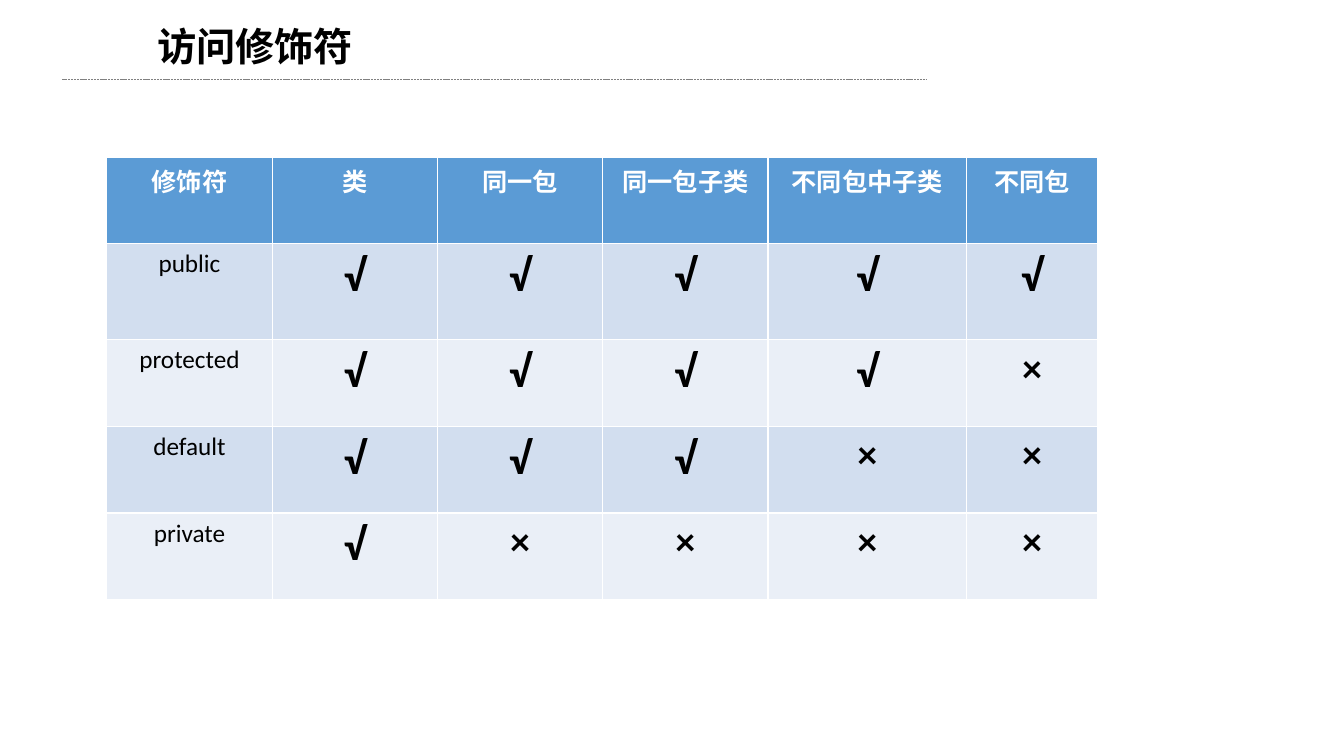
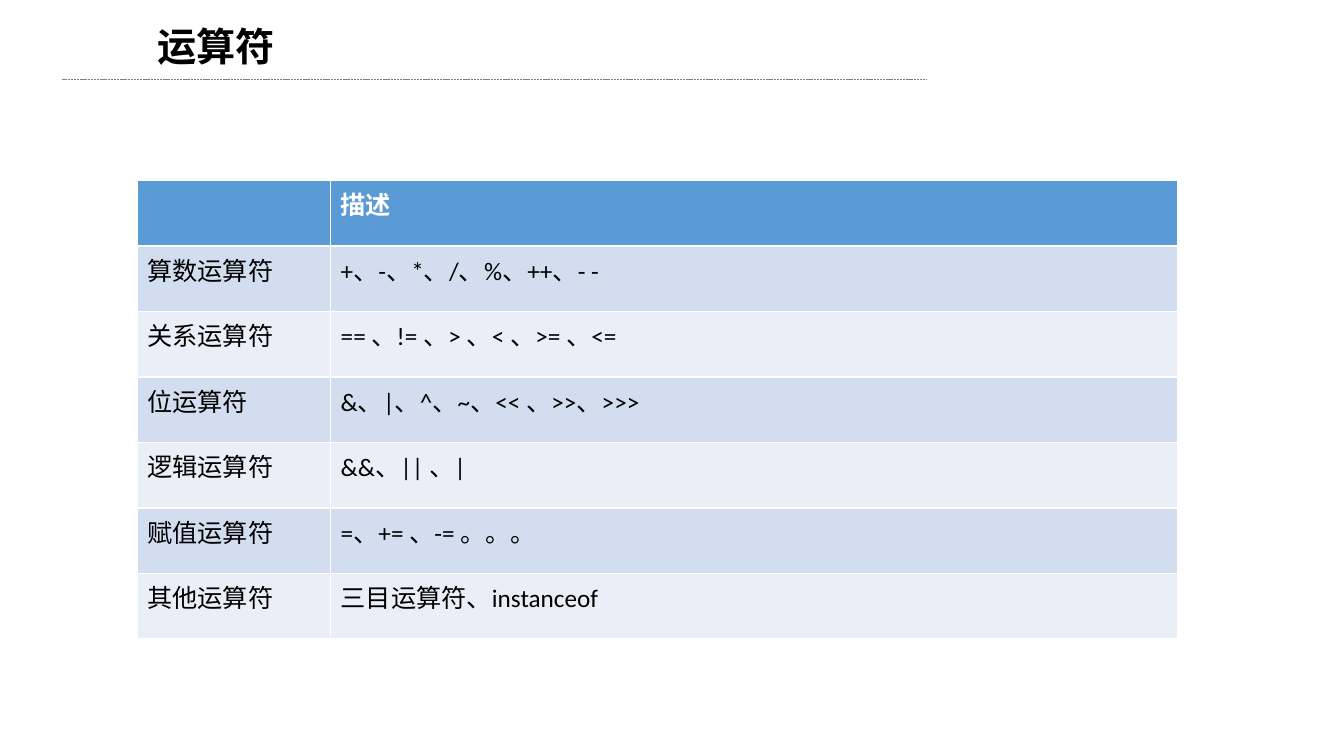
from lxml.etree import SubElement
from pptx import Presentation
from pptx.dml.color import RGBColor
from pptx.enum.dml import MSO_LINE
from pptx.enum.shapes import MSO_CONNECTOR as Link
from pptx.enum.text import MSO_ANCHOR as Anchor, PP_ALIGN as Align
from pptx.oxml.ns import qn
from pptx.util import Inches, Pt

BLACK = RGBColor(0x00, 0x00, 0x00)
WHITE = RGBColor(0xFF, 0xFF, 0xFF)
GRAY = RGBColor(0x80, 0x80, 0x80)
BLUE = RGBColor(0x5B, 0x9B, 0xD5)
BANDS = RGBColor(0xD2, 0xDE, 0xEF), RGBColor(0xEA, 0xEF, 0xF7)
FONT = "Calibri"
MARKS = {"√": 32, "×": 28}
COLS, ROWS = 160, 90


class Deck:
    """Holds the shared style and the current slide; lengths are grid units."""

    def __init__(self):
        """Start an empty wide deck."""
        self.prs = Presentation()
        self.prs.slide_width, self.prs.slide_height = Inches(13.33), Inches(7.5)
        self.page = None

    def x(self, cols):
        """Turn grid columns into a length."""
        return round(self.prs.slide_width * cols / COLS)

    def y(self, rows):
        """Turn grid rows into a length."""
        return round(self.prs.slide_height * rows / ROWS)

    def style(self, para, size, color, bold=False, align=Align.LEFT):
        """Format a paragraph and its runs."""
        para.alignment = align
        for run in para.runs:
            font = run.font
            font.name, font.size, font.bold = FONT, Pt(size), bold
            font.color.rgb = color

    def slide(self, title):
        """Add a slide with its title and the rule below it."""
        self.page = self.prs.slides.add_slide(self.prs.slide_layouts[5])
        self.title(title)
        self.rule(7.44, 110.28, 9.48)

    def title(self, text):
        """Fill the title, as wide as its characters need."""
        box = self.page.shapes.title
        box.left, box.top = self.x(17.52), self.y(2.04)
        box.width, box.height = self.x(4.68 * len(text) + 2.64), self.y(6.84)
        frame = box.text_frame
        frame.text = text
        frame.word_wrap = False
        frame.vertical_anchor = Anchor.TOP
        self.style(frame.paragraphs[0], 28, BLACK, True)

    def rule(self, left, right, top):
        """Draw a thin dashed level line."""
        line = self.page.shapes.add_connector(
            Link.STRAIGHT, self.x(left), self.y(top), self.x(right), self.y(top))
        line.line.color.rgb = GRAY
        line.line.width = Pt(0.5)
        line.line.dash_style = MSO_LINE.SQUARE_DOT
        SubElement(line._element.spPr, qn("a:effectLst"))

    def table(self, left, top, widths, heights, data, align=Align.LEFT):
        """Add a banded table with a blue head row."""
        grid = self.page.shapes.add_table(
            len(heights), len(widths), self.x(left), self.y(top),
            self.x(sum(widths)), self.y(sum(heights))).table
        for col, width in zip(grid.columns, widths):
            col.width = self.x(width)
        for row, height in zip(grid.rows, heights):
            row.height = self.y(height)
        for i, texts in enumerate(data):
            head = i == 0
            for j, text in enumerate(texts):
                cell = grid.cell(i, j)
                cell.fill.solid()
                cell.fill.fore_color.rgb = BLUE if head else BANDS[(i - 1) % 2]
                cell.text_frame.text = text
                self.style(cell.text_frame.paragraphs[0], MARKS.get(text, 18),
                           WHITE if head else BLACK, head or text in MARKS, align)


ACCESS = [
    ("修饰符", "类", "同一包", "同一包子类", "不同包中子类", "不同包"),
    ("public", *"√√√√√"),
    ("protected", *"√√√√×"),
    ("default", *"√√√××"),
    ("private", *"√××××"),
]
OPERATORS = [
    ("", "描述"),
    ("算数运算符", "+、-、*、/、%、++、- -"),
    ("关系运算符", "== 、!= 、> 、< 、>= 、<="),
    ("位运算符", "&、|、^、~、<< 、>>、>>>"),
    ("逻辑运算符", "&&、|| 、|"),
    ("赋值运算符", "=、+= 、-= 。。。"),
    ("其他运算符", "三目运算符、instanceof"),
]

deck = Deck()
deck.slide("访问修饰符")
deck.table(12.72, 18.72, [19.68] * 4 + [23.64, 15.6],
           [10.32, 11.4] + [10.32] * 3, ACCESS, Align.CENTER)
deck.slide("运算符")
deck.table(16.32, 21.48, [23.04, 100.8], [7.8] * len(OPERATORS), OPERATORS)
deck.prs.save("out.pptx")
